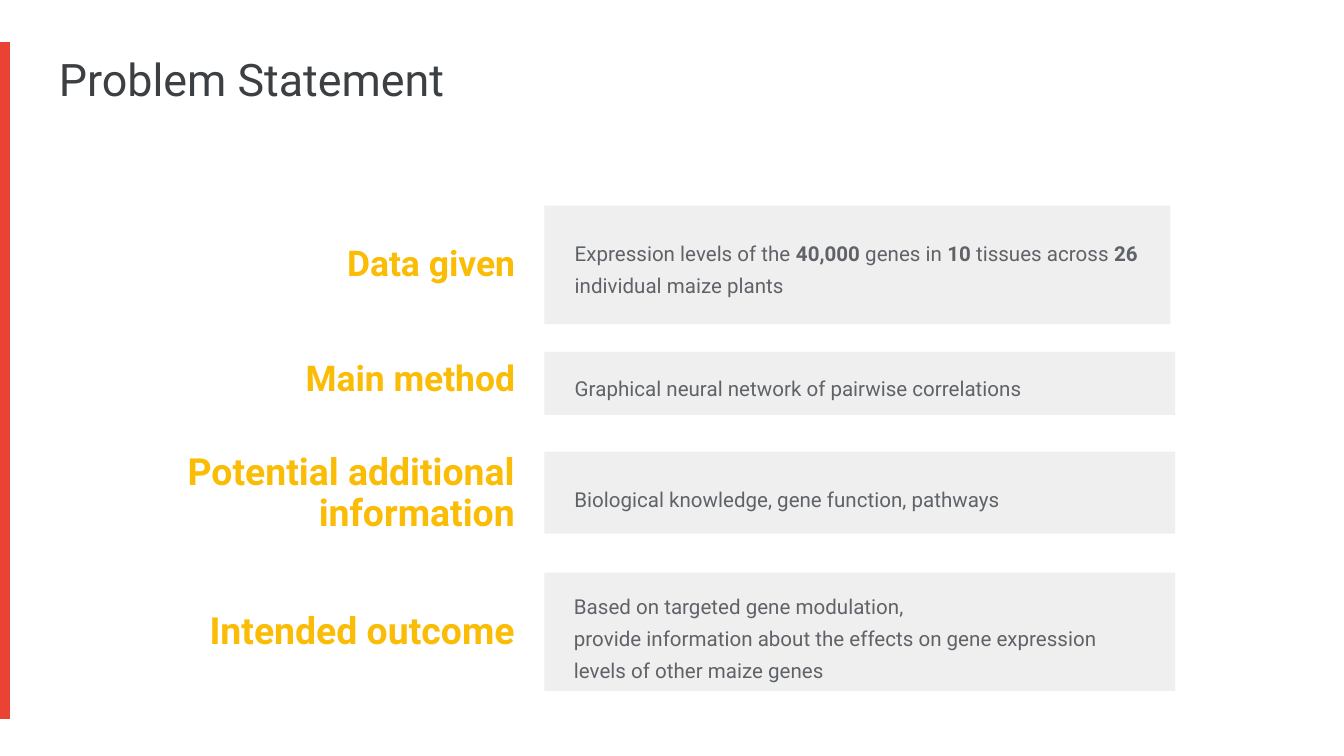
import pptx
import pptx.util
import pptx.dml.color
import pptx.enum.shapes
import pptx.enum.text
import pptx.oxml.ns
import lxml.etree

Pt = pptx.util.Pt
ALIGN = pptx.enum.text.PP_ALIGN
ANCHOR = pptx.enum.text.MSO_ANCHOR
HUES = {
    "title": "3C4043",
    "bar": "EA4335",
    "label": "FBBC05",
    "panel": "EFEFEF",
    "body": "5F6368",
}
ROWS = [
    {
        "label": "Data given", "size": 19, "span": (92.2, 120.2, 190.8),
        "panel": (291.6, 110.2, 335.5, 63.4), "body": (9.2, 6.5, 335.5, 51.1),
        "text": ["Expression levels of the *40,000* genes in *10* tissues "
                 "across *26* individual maize plants"],
    },
    {
        "label": "Main method", "size": 19, "span": (92.2, 181.4, 190.8),
        "panel": (291.6, 188.6, 338, 33.8), "body": (9.2, 7.2, 310.3, 20.9),
        "text": ["Graphical neural network of pairwise correlations"],
    },
    {
        "label": "Potential additional information", "size": 20,
        "span": (37.4, 242.6, 245.6),
        "panel": (291.6, 242, 338, 43.9), "body": (9, 8.6, 329, 29.5),
        "text": ["Biological knowledge, gene function, pathways"],
    },
    {
        "label": "Intended outcome", "size": 20, "span": (42.5, 316.8, 240.5),
        "panel": (291.6, 306.7, 338, 63.4), "body": (8.8, 3.6, 301, 59.8),
        "text": ["Based on targeted gene modulation,",
                 "provide information about the effects on gene expression "
                 "levels of other maize genes"],
    },
]


def tint(name):
    """Return the named colour."""
    return pptx.dml.color.RGBColor.from_string(HUES[name])


def write(shapes, box, lines, size, hue, bold=False, align=ALIGN.LEFT,
          anchor=ANCHOR.MIDDLE, space=1.0, inset=3.6):
    """Add a text box whose starred words are bold."""
    frame = shapes.add_textbox(*map(Pt, box)).text_frame
    frame.word_wrap = True
    frame.vertical_anchor = anchor
    frame.margin_left = frame.margin_right = Pt(7.2)
    frame.margin_top = frame.margin_bottom = Pt(inset)
    for i, line in enumerate(lines):
        para = frame.add_paragraph() if i else frame.paragraphs[0]
        para.alignment = align
        para.line_spacing = space
        for j, part in enumerate(line.split("*")):
            run = para.add_run()
            run.text = part
            run.font.name = "Roboto"
            run.font.size = Pt(size)
            run.font.bold = bold or j % 2 == 1
            run.font.color.rgb = tint(hue)


def head(slide, box):
    """Add the slide title."""
    write(slide.shapes, box, ["Problem Statement"], 24, "title",
          anchor=ANCHOR.TOP, inset=7.2)


def edge(slide, box):
    """Add the red bar down the middle of its box."""
    left, top, width, height = box
    mid = left + width / 2
    bar = slide.shapes.add_connector(
        pptx.enum.shapes.MSO_CONNECTOR.STRAIGHT,
        Pt(mid), Pt(top), Pt(mid), Pt(top + height))
    bar.line.color.rgb = tint("bar")
    bar.line.width = Pt(width)
    props = bar._element.spPr
    lxml.etree.SubElement(props, pptx.oxml.ns.qn("a:effectLst"))


def panel(slide, box, inner, lines):
    """Add a grey panel grouped with its body text."""
    group = slide.shapes.add_group_shape()
    rect = group.shapes.add_shape(
        pptx.enum.shapes.MSO_SHAPE.RECTANGLE, *map(Pt, box))
    rect.shadow.inherit = False
    rect.fill.solid()
    rect.fill.fore_color.rgb = tint("panel")
    rect.line.fill.background()
    left, top, width, height = inner
    place = (box[0] + left, box[1] + top, width, height)
    write(group.shapes, place, lines, 11, "body", space=1.3)


def label(slide, box, text, size):
    """Add a right-aligned row label."""
    write(slide.shapes, box, [text], size, "label", bold=True,
          align=ALIGN.RIGHT, space=0.9)


def main():
    """Build and save the slide."""
    deck = pptx.Presentation()
    deck.slide_width = Pt(720)
    deck.slide_height = Pt(405)
    slide = deck.slides.add_slide(deck.slide_layouts[6])
    head(slide, (24.5, 20.4, 671, 45.1))
    edge(slide, (-0.6, 22.5, 6, 362.7))
    for row in ROWS:
        panel(slide, row["panel"], row["body"], row["text"])
        label(slide, (*row["span"], 43.9), row["label"], row["size"])
    deck.save("out.pptx")


if __name__ == "__main__":
    main()
